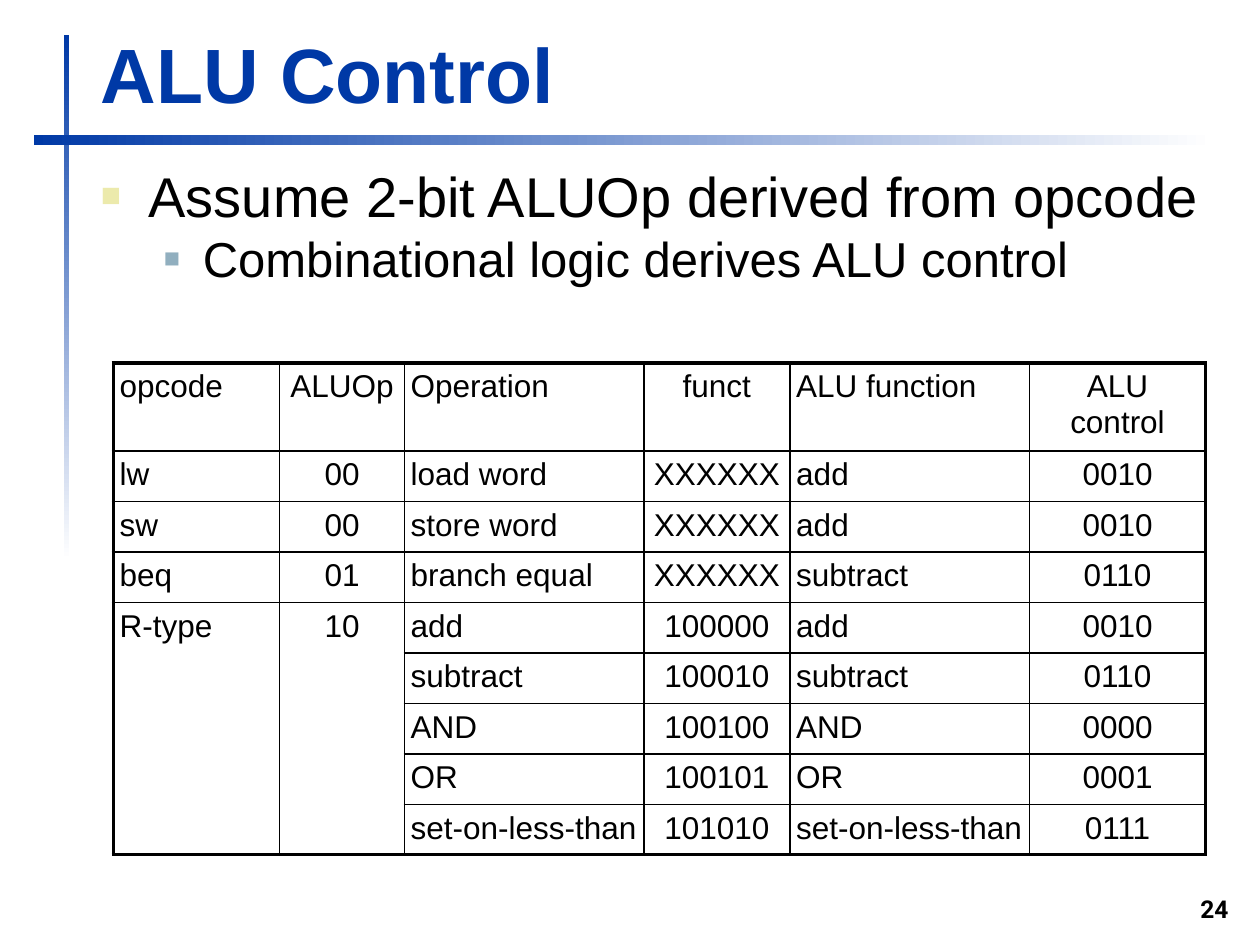
from typing import NamedTuple

from lxml.etree import SubElement
from pptx import Presentation
from pptx.dml.color import RGBColor
from pptx.enum.shapes import MSO_SHAPE
from pptx.enum.text import MSO_ANCHOR as Anchor, PP_ALIGN as Align
from pptx.oxml import parse_xml
from pptx.oxml.ns import nsdecls, qn
from pptx.util import Inches, Pt

BLUE = RGBColor(0x00, 0x39, 0xA6)
BLACK = RGBColor(0, 0, 0)
WHITE = RGBColor(0xFF, 0xFF, 0xFF)
CREAM = RGBColor(0xEC, 0xEA, 0xAC)
STEEL = RGBColor(0x91, 0xAF, 0xBF)

THIN, MEDIUM, THICK = 1, 1.5, 2.25
COL_WIDTHS = [1.32, 0.99, 1.9, 1.16, 1.9, 1.4]
HEADER_HEIGHT, ROW_HEIGHT = 0.66, 0.38
CENTERED_COLS = {1, 3, 5}
MERGED_COLS = (0, 1)
FIRST_R_TYPE = 4
ROWS = [
    ("opcode", "ALUOp", "Operation", "funct", "ALU function", "ALU control"),
    ("lw", "00", "load word", "XXXXXX", "add", "0010"),
    ("sw", "00", "store word", "XXXXXX", "add", "0010"),
    ("beq", "01", "branch equal", "XXXXXX", "subtract", "0110"),
    ("R-type", "10", "add", "100000", "add", "0010"),
    ("", "", "subtract", "100010", "subtract", "0110"),
    ("", "", "AND", "100100", "AND", "0000"),
    ("", "", "OR", "100101", "OR", "0001"),
    ("", "", "set-on-less-than", "101010", "set-on-less-than", "0111"),
]


class Rule(NamedTuple):
    left: float
    top: float
    width: float
    height: float
    angle: int


class Bullet(NamedTuple):
    text: str
    size: int
    level: int
    margin: float
    hanging: float
    color: RGBColor
    percent: int


RULES = [Rule(0.51, 0.28, 0.04, 4.17, 90), Rule(0.27, 1.07, 9.37, 0.08, 180)]
BULLETS = [
    Bullet("Assume 2-bit ALUOp derived from opcode", 32, 0, 0.38, 0.38, CREAM, 60),
    Bullet("Combinational logic derives ALU control", 28, 1, 0.81, 0.31, STEEL, 55),
]


def add_rule(s, rule: Rule) -> None:
    """Draw a bar that fades from blue to white."""
    sp = s.shapes.add_shape(MSO_SHAPE.RECTANGLE, *map(Inches, rule[:4]))
    sp.shadow.inherit = False
    sp.line.fill.background()
    sp.fill.gradient()
    sp.fill.gradient_angle = rule.angle
    for stop, color in zip(sp.fill.gradient_stops, (WHITE, BLUE)):
        stop.color.rgb = color


def write(p, text: str, *, size: float, font: str = "Arial", color: RGBColor = BLACK,
          bold: bool = False, align: Align = Align.LEFT) -> None:
    p.alignment = align
    r = p.add_run()
    r.text = text
    r.font.name, r.font.size, r.font.bold = font, Pt(size), bold
    r.font.color.rgb = color


def add_frame(s, left: float, top: float, width: float, height: float,
              anchor: Anchor = Anchor.TOP, wrap: bool = True):
    tf = s.shapes.add_textbox(*map(Inches, (left, top, width, height))).text_frame
    tf.margin_left = tf.margin_right = tf.margin_top = tf.margin_bottom = Inches(0.05)
    tf.word_wrap, tf.vertical_anchor = wrap, anchor
    return tf


def add_bullet(p, bullet: Bullet) -> None:
    p.level = bullet.level
    pPr = p._p.get_or_add_pPr()
    pPr.set("marL", str(Inches(bullet.margin)))
    pPr.set("indent", str(-Inches(bullet.hanging)))
    color = SubElement(pPr, qn("a:buClr"))
    SubElement(color, qn("a:srgbClr"), val=str(bullet.color))
    SubElement(pPr, qn("a:buSzPct"), val=str(bullet.percent * 1000))
    SubElement(pPr, qn("a:buFont"), typeface="Arial")
    SubElement(pPr, qn("a:buChar"), char="■")
    write(p, bullet.text, size=bullet.size)


def set_borders(cell, **widths: float) -> None:
    """Set borders by side letter, given in the order L, R, T, B."""
    tcPr = cell._tc.get_or_add_tcPr()
    for i, (side, width) in enumerate(widths.items()):
        tcPr.insert(i, parse_xml(
            f'<a:ln{side} {nsdecls("a")} w="{Pt(width)}"><a:solidFill>'
            f'<a:srgbClr val="{BLACK}"/></a:solidFill></a:ln{side}>'))


def add_control_table(s, left: float, top: float) -> None:
    last_row, last_col = len(ROWS) - 1, len(COL_WIDTHS) - 1
    heights = [HEADER_HEIGHT] + [ROW_HEIGHT] * last_row
    table = s.shapes.add_table(
        len(ROWS), len(COL_WIDTHS), Inches(left), Inches(top),
        Inches(sum(COL_WIDTHS)), Inches(sum(heights))).table
    table.first_row = table.horz_banding = False
    for column, width in zip(table.columns, COL_WIDTHS):
        column.width = Inches(width)
    for row, height in zip(table.rows, heights):
        row.height = Inches(height)
    for col in MERGED_COLS:
        table.cell(FIRST_R_TYPE, col).merge(table.cell(last_row, col))

    for i, values in enumerate(ROWS):
        for j, text in enumerate(values):
            cell = table.cell(i, j)
            cell.fill.background()
            cell.margin_left = cell.margin_right = Inches(0.05)
            cell.margin_top = cell.margin_bottom = Inches(0.05)
            if text:
                write(cell.text_frame.paragraphs[0], text, size=18,
                      align=Align.CENTER if j in CENTERED_COLS else Align.LEFT)
            set_borders(
                cell,
                L=THICK if j == 0 else THIN,
                R=THICK if j == last_col else THIN,
                T={0: THICK, 1: MEDIUM}.get(i, THIN),
                B=THICK if i == last_row or cell.is_merge_origin
                else MEDIUM if i == 0 else THIN)


def main() -> None:
    prs = Presentation()
    prs.slide_width, prs.slide_height = Inches(10), Inches(7.5)
    s = prs.slides.add_slide(prs.slide_layouts[6])

    for rule in RULES:
        add_rule(s, rule)
    number = add_frame(s, 9.47, 7.06, 0.33, 0.32, Anchor.BOTTOM, wrap=False)
    write(number.paragraphs[0], "24", size=14, font="Roboto", bold=True, align=Align.RIGHT)
    title = add_frame(s, 0.75, 0.16, 9.03, 0.83, Anchor.BOTTOM)
    write(title.paragraphs[0], "ALU Control", size=44, color=BLUE, bold=True)

    body = add_frame(s, 0.75, 1.23, 9.05, 5.59)
    for i, bullet in enumerate(BULLETS):
        add_bullet(body.add_paragraph() if i else body.paragraphs[0], bullet)
    add_control_table(s, 0.9, 2.88)
    prs.save("out.pptx")


if __name__ == "__main__":
    main()
